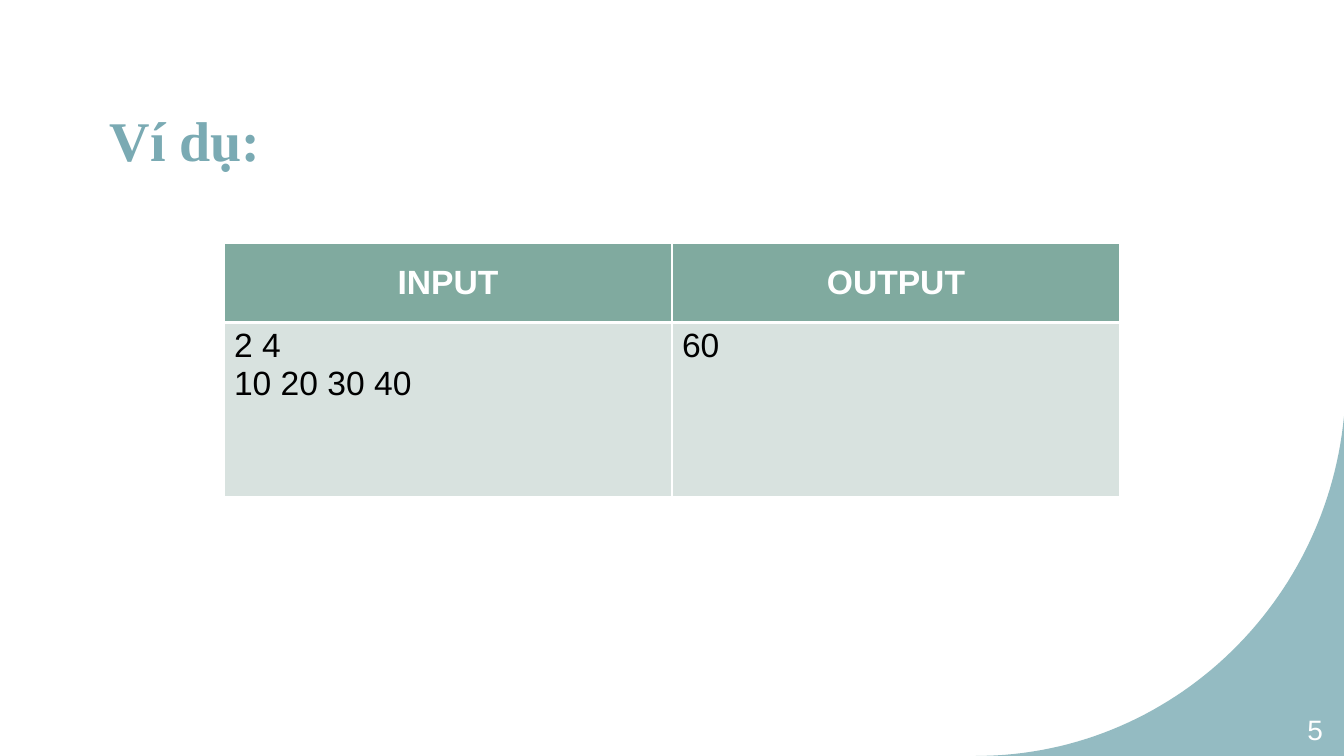
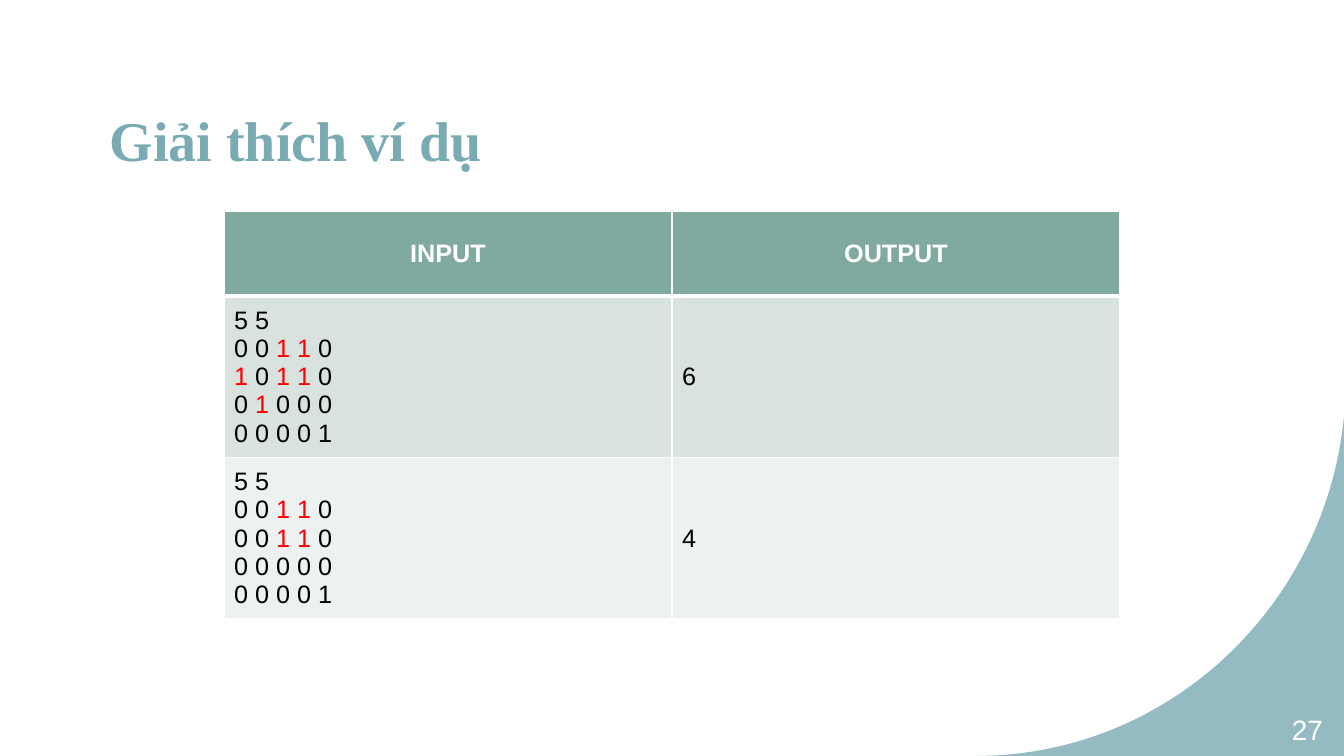
"""Build two example slides with input and output tables."""
from lxml import etree
from pptx import Presentation
from pptx import util as u
from pptx.dml import color
from pptx.enum import text
from pptx.oxml import ns

WIDTH, HEIGHT = 13.33, 7.5
TEAL, GREEN, WHITE, BLACK, RED = "7AAAB3", "80AA9F", "FFFFFF", "000000", "FF0000"
BANDS = ["D8E2DF", "EDF1F0"]
HEADER = ["INPUT", "OUTPUT"]
MIDDLE, TOP = text.MSO_ANCHOR.MIDDLE, text.MSO_ANCHOR.TOP
LEFT, CENTER, RIGHT = text.PP_ALIGN.LEFT, text.PP_ALIGN.CENTER, text.PP_ALIGN.RIGHT

CURVE = [(9.68, 7.5), (11.58, 7.5), (13.15, 6.02), (13.33, 4.13)]
CURVE_STEPS = 60

# Square brackets in a cell line enclose the red digits.
SLIDES = [
    {
        "title": "Ví dụ:",
        "number": "5",
        "top": 2.41,
        "size": 24,
        "anchor": TOP,
        "heights": [0.79, 1.73],
        "rows": [(["2 4", "10 20 30 40"], ["60"])],
    },
    {
        "title": "Giải thích ví dụ",
        "number": "27",
        "top": 2.1,
        "size": 18,
        "anchor": MIDDLE,
        "heights": [0.84, 1.56, 1.5],
        "rows": [
            (["5 5", "0 0 [1 1] 0", "[1] 0 [1 1] 0", "0 [1] 0 0 0", "0 0 0 0 1"], ["6"]),
            (["5 5", "0 0 [1 1] 0", "0 0 [1 1] 0", "0 0 0 0 0", "0 0 0 0 1"], ["4"]),
        ],
    },
]


def rgb(value):
    """Turn a hex string into a colour."""
    return color.RGBColor.from_string(value)


def style_run(run, size, hue, bold=False, font="Arial"):
    """Set the font of one run."""
    run.font.name = font
    run.font.size = u.Pt(size)
    run.font.bold = bold
    run.font.color.rgb = rgb(hue)


def add_label(slide, box, words, align, **style):
    """Add one line of text, centred vertically in its box."""
    frame = slide.shapes.add_textbox(*map(u.Inches, box)).text_frame
    frame.word_wrap = True
    frame.vertical_anchor = MIDDLE
    frame.text = words
    paragraph = frame.paragraphs[0]
    paragraph.alignment = align
    style_run(paragraph.runs[0], **style)


def add_corner(slide):
    """Fill the lower right corner outside the curve."""
    points = []
    for step in range(CURVE_STEPS + 1):
        t = step / CURVE_STEPS
        weights = [(1 - t) ** 3, 3 * t * (1 - t) ** 2, 3 * t * t * (1 - t), t ** 3]
        points.append([u.Inches(sum(w * p[axis] for w, p in zip(weights, CURVE)))
                       for axis in (0, 1)])
    points.append((u.Inches(WIDTH), u.Inches(HEIGHT)))
    builder = slide.shapes.build_freeform(*points[0])
    builder.add_line_segments(points[1:], close=True)
    shape = builder.convert_to_shape()
    shape.shadow.inherit = False
    shape.line.fill.background()
    shape.fill.solid()
    shape.fill.fore_color.rgb = rgb(TEAL)
    fill_color = shape.element.find(".//" + ns.qn("a:srgbClr"))
    etree.SubElement(fill_color, ns.qn("a:alpha"), val="80000")


def set_borders(cell, top, bottom):
    """Draw white cell borders, with top and bottom widths in points."""
    properties = cell._tc.get_or_add_tcPr()
    widths = {"L": 1, "R": 1, "T": top, "B": bottom}
    for index, (side, width) in enumerate(widths.items()):
        line = etree.Element(ns.qn("a:ln" + side), w=str(u.Pt(width)))
        fill = etree.SubElement(line, ns.qn("a:solidFill"))
        etree.SubElement(fill, ns.qn("a:srgbClr"), val=WHITE)
        properties.insert(index, line)


def fill_cell(cell, lines, fill, anchor, align, size, hue, bold):
    """Write lines into a cell, with bracketed parts in red."""
    cell.fill.solid()
    cell.fill.fore_color.rgb = rgb(fill)
    cell.vertical_anchor = anchor
    cell.text_frame.text = "\n".join([""] * len(lines))
    for paragraph, line in zip(cell.text_frame.paragraphs, lines):
        paragraph.alignment = align
        for index, part in enumerate(line.replace("]", "[").split("[")):
            if part:
                run = paragraph.add_run()
                run.text = part
                style_run(run, size, RED if index % 2 else hue, bold)


def add_example_table(slide, content):
    """Add the centred table, two thirds of the slide wide."""
    heights, size = content["heights"], content["size"]
    box = WIDTH / 6, content["top"], WIDTH * 2 / 3, sum(heights)
    table = slide.shapes.add_table(
        len(heights), len(HEADER), *map(u.Inches, box)).table
    for row, height in zip(table.rows, heights):
        row.height = u.Inches(height)
    rows = [[[name] for name in HEADER], *content["rows"]]
    for r, row in enumerate(rows):
        for c, lines in enumerate(row):
            cell = table.cell(r, c)
            if r == 0:
                fill_cell(cell, lines, GREEN, MIDDLE, CENTER, size, WHITE, True)
            else:
                fill_cell(cell, lines, BANDS[(r - 1) % 2], content["anchor"],
                          LEFT, size, BLACK, False)
            set_borders(cell, 3 if r == 1 else 1, 3 if r == 0 else 1)


def main():
    """Build and save the presentation."""
    presentation = Presentation()
    presentation.slide_width = u.Inches(WIDTH)
    presentation.slide_height = u.Inches(HEIGHT)
    for content in SLIDES:
        slide = presentation.slides.add_slide(presentation.slide_layouts[6])
        add_corner(slide)
        add_label(slide, (0.99, 0.65, 10.84, 1.45), content["title"], LEFT,
                  size=40, hue=TEAL, bold=True, font="Times New Roman")
        add_label(slide, (12.46, 7.04, 0.76, 0.4), content["number"], RIGHT,
                  size=20, hue=WHITE)
        add_example_table(slide, content)
    presentation.save("out.pptx")


if __name__ == "__main__":
    main()
